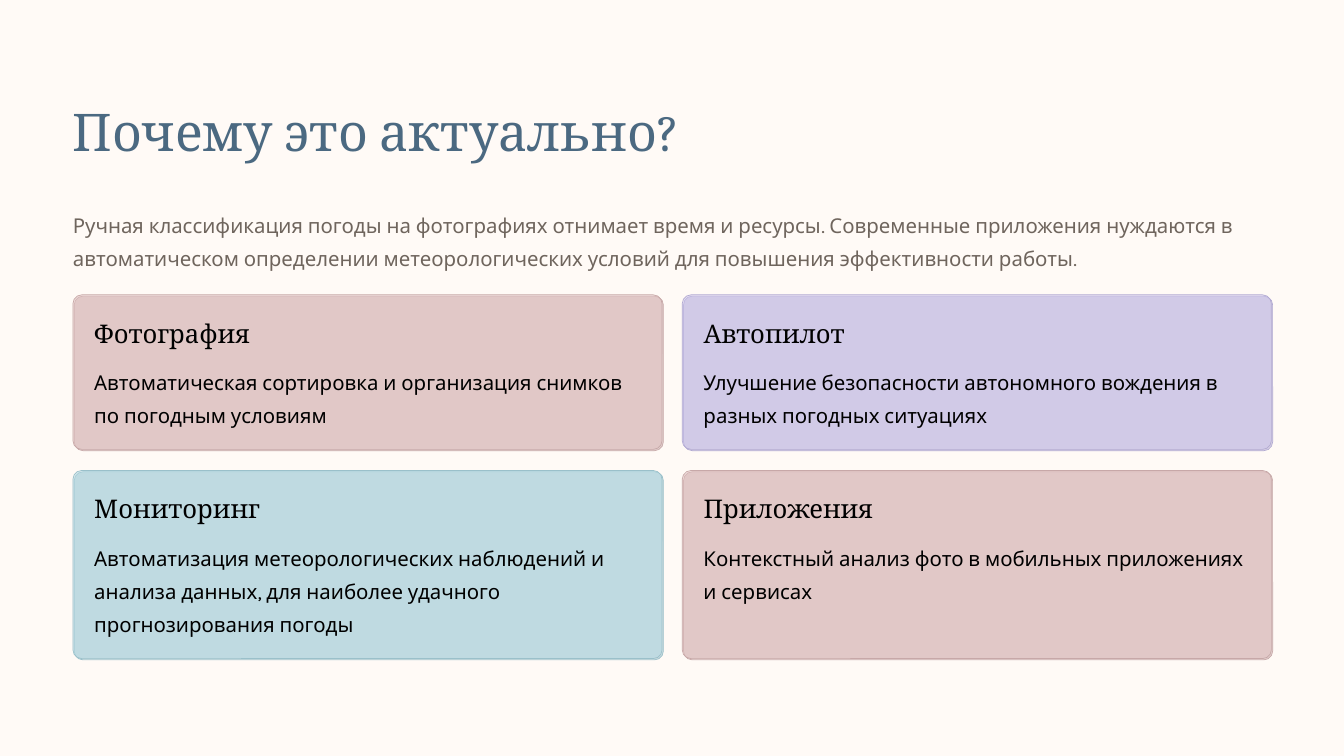
"""Build the slide on why automatic weather classification matters."""
from dataclasses import dataclass

import lxml.etree
import pptx
import pptx.dml.color
import pptx.enum.shapes
import pptx.enum.text
import pptx.oxml
import pptx.oxml.ns
import pptx.util

Pt = pptx.util.Pt
RGBColor = pptx.dml.color.RGBColor

CREAM = RGBColor(0xFF, 0xFA, 0xF6)
SLATE = RGBColor(0x4B, 0x69, 0x81)
TAUPE = RGBColor(0x6F, 0x65, 0x5D)
BLACK = RGBColor(0x00, 0x00, 0x00)
PINK = RGBColor(0xE1, 0xC2, 0xC2)
PINK_EDGE = RGBColor(0xC7, 0xA8, 0xA8)
LILAC = RGBColor(0xCC, 0xC4, 0xEC)
LILAC_EDGE = RGBColor(0xB2, 0xAA, 0xD2)
AQUA = RGBColor(0xB4, 0xDA, 0xE4)
AQUA_EDGE = RGBColor(0x9A, 0xC0, 0xCA)

HEADING_FONT = "Cambria"
BODY_FONT = "Karla"
BODY_SIZE = 17.5
BODY_LEADING = 28.5

MARGIN = 62.5
CONTENT_WIDTH = 1027
CARD_WIDTH = 505
COLUMN_GAP = 17.25
ROW_GAP = 18
CARDS_TOP = 252.75
ROW_HEIGHTS = (132.5, 161.25)
CARD_PADDING = 18.25
CARD_RADIUS = 7.55
BODY_OFFSET = 57


@dataclass(frozen=True)
class Card:
    heading: str
    body: str
    fill: RGBColor
    edge: RGBColor


CARD_ROWS = (
    (
        Card("Фотография", "Автоматическая сортировка и организация снимков по погодным условиям",
             PINK, PINK_EDGE),
        Card("Автопилот", "Улучшение безопасности автономного вождения в разных погодных ситуациях",
             LILAC, LILAC_EDGE),
    ),
    (
        Card("Мониторинг", "Автоматизация метеорологических наблюдений и анализа данных, "
             "для наиболее удачного прогнозирования погоды", AQUA, AQUA_EDGE),
        Card("Приложения", "Контекстный анализ фото в мобильных приложениях и сервисах",
             PINK, PINK_EDGE),
    ),
)


def place(shape, left: float, top: float, width: float, height: float) -> None:
    shape.left, shape.top = Pt(left), Pt(top)
    shape.width, shape.height = Pt(width), Pt(height)


def write_text(shape, text: str, *, font: str = BODY_FONT, size: float = BODY_SIZE,
               leading: float = BODY_LEADING, color: RGBColor = BLACK, wrap: bool = True) -> None:
    frame = shape.text_frame
    frame.margin_left = frame.margin_top = frame.margin_right = frame.margin_bottom = 0
    frame.auto_size = pptx.enum.text.MSO_AUTO_SIZE.NONE
    frame.vertical_anchor = pptx.enum.text.MSO_ANCHOR.TOP
    frame.word_wrap = wrap
    paragraph = frame.paragraphs[0]
    paragraph.alignment = pptx.enum.text.PP_ALIGN.LEFT
    paragraph.line_spacing = Pt(leading)
    run = paragraph.add_run()
    run.text = text
    run.font.name = font
    run.font.size = Pt(size)
    run.font.color.rgb = color


def add_text(slide, text: str, left: float, top: float, width: float, height: float,
             **text_format) -> None:
    box = slide.shapes.add_textbox(Pt(left), Pt(top), Pt(width), Pt(height))
    write_text(box, text, **text_format)


def add_panel(slide, card: Card, left: float, top: float, height: float) -> None:
    panel = slide.shapes.add_shape(
        pptx.enum.shapes.MSO_SHAPE.ROUNDED_RECTANGLE,
        Pt(left), Pt(top), Pt(CARD_WIDTH), Pt(height))
    panel.adjustments[0] = CARD_RADIUS / height
    panel.fill.solid()
    panel.fill.fore_color.rgb = card.fill
    panel.line.color.rgb = card.edge
    panel.line.width = Pt(0.6)
    panel.shadow.inherit = False
    qualified = pptx.oxml.ns.qn
    properties = panel.element.spPr
    fill_color = properties.find(qualified("a:solidFill")).find(qualified("a:srgbClr"))
    lxml.etree.SubElement(fill_color, qualified("a:alpha"), val="50000")
    effects = properties.find(qualified("a:effectLst"))
    shadow = lxml.etree.SubElement(
        effects, qualified("a:outerShdw"), blurRad="0", dist=str(int(Pt(1.6))),
        dir="2700000", algn="bl", rotWithShape="0")
    lxml.etree.SubElement(shadow, qualified("a:srgbClr"), val=str(card.edge))


def add_card(slide, card: Card, left: float, top: float, height: float) -> None:
    add_panel(slide, card, left, top, height)
    text_left = left + CARD_PADDING
    text_width = CARD_WIDTH - 2 * CARD_PADDING
    add_text(slide, card.heading, text_left, top + CARD_PADDING, 223, 28,
             font=HEADING_FONT, size=22, leading=27.5, wrap=False)
    add_text(slide, card.body, text_left, top + BODY_OFFSET, text_width,
             height - BODY_OFFSET - CARD_PADDING)


def main() -> None:
    presentation = pptx.Presentation()
    presentation.slide_width, presentation.slide_height = Pt(1152), Pt(648)
    slide = presentation.slides.add_slide(presentation.slide_layouts.get_by_name("Title Only"))
    slide.background.fill.solid()
    slide.background.fill.fore_color.rgb = CREAM

    title = slide.shapes.title
    place(title, MARGIN, 83.5, 540, 56)
    write_text(title, "Почему это актуально?", font=HEADING_FONT, size=44.5,
               leading=55.5, color=SLATE)
    add_text(slide, "Ручная классификация погоды на фотографиях отнимает время и ресурсы. "
             "Современные приложения нуждаются в автоматическом определении "
             "метеорологических условий для повышения эффективности работы.",
             MARGIN, 175, CONTENT_WIDTH, 57, color=TAUPE)

    top = CARDS_TOP
    for cards, height in zip(CARD_ROWS, ROW_HEIGHTS):
        for column, card in enumerate(cards):
            add_card(slide, card, MARGIN + column * (CARD_WIDTH + COLUMN_GAP), top, height)
        top += height + ROW_GAP

    presentation.save("out.pptx")


if __name__ == "__main__":
    main()
